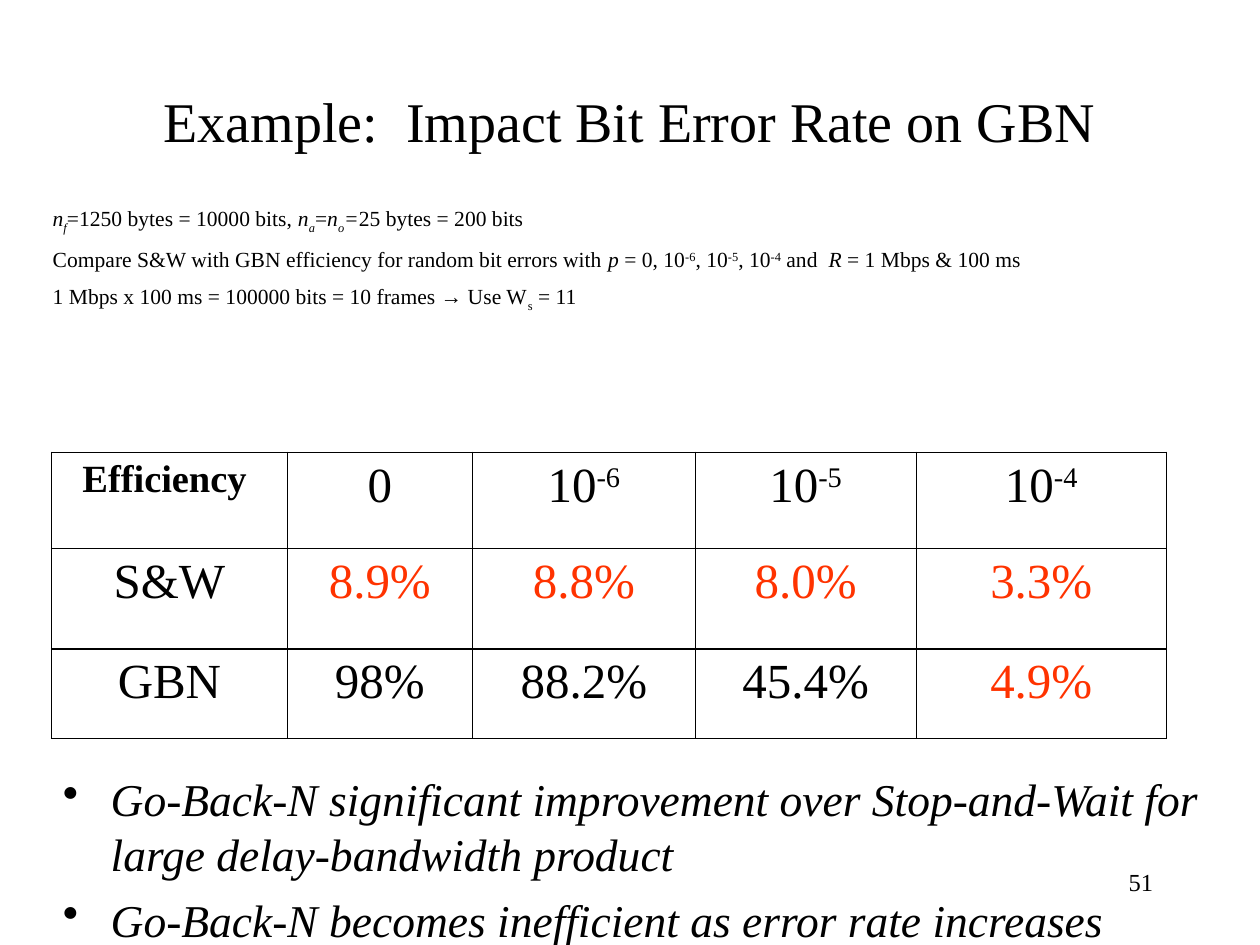
import pptx
import pptx.dml.color
import pptx.enum.text
import pptx.oxml
import pptx.oxml.ns
import pptx.util

PX = 9144  # EMU per px, 100 px to the inch
FONT = "Times New Roman"
COLOURS = {"ink": "000000", "alert": "FF3300", "paper": "FFFFFF"}
ALIGN = pptx.enum.text.PP_ALIGN
THIN, THICK = 0.45, 1.08

# Spans are (text, marks): i is italic, _ subscript, ^ superscript
SETUP = [
    [("n", "i"), ("f", "i_"), ("=1250 bytes = 10000 bits, ", ""), ("n", "i"), ("a", "i_"),
     ("=", ""), ("n", "i"), ("o", "i_"), ("=", "i"), ("25 bytes = 200 bits", "")],
    [("Compare S&W with GBN efficiency for random bit errors with ", ""), ("p ", "i"),
     ("= 0, 10", ""), ("-6", "^"), (", 10", ""), ("-5", "^"), (", 10", ""), ("-4", "^"),
     (" and  ", ""), ("R ", "i"), ("= 1 Mbps & 100 ms", "")],
    [("1 Mbps x 100 ms = 100000 bits = 10 frames → Use W", ""), ("s", "_"), (" = 11", "")],
]
CONCLUSIONS = [
    [("Go-Back-N significant improvement over Stop-and-Wait for large delay-bandwidth product", "i")],
    [("Go-Back-N becomes inefficient as error rate increases", "i")],
]
EFFICIENCY = [
    [[("Efficiency ", "")], [("0", "")]] + [[("10", ""), (power, "^")] for power in ("-6", "-5", "-4")],
    [[(text, "")] for text in ("S&W", "8.9%", "8.8%", "8.0%", "3.3%")],
    [[(text, "")] for text in ("GBN", "98%", "88.2%", "45.4%", "4.9%")],
]
ALERTS = {(1, 1), (1, 2), (1, 3), (1, 4), (2, 4)}


def px(*lengths):
    return [length * PX for length in lengths]


def colour(name):
    return pptx.dml.color.RGBColor.from_string(COLOURS[name])


def write_para(para, spans, size, ink="ink", align=ALIGN.LEFT, bold=False):
    para.alignment = align
    font = para.font
    font.name, font.size, font.bold = FONT, pptx.util.Pt(size), bold
    font.color.rgb = colour(ink)
    for text, marks in spans:
        span = para.add_run()
        span.text = text
        # Runs carry the format too, so that it holds inside placeholders and cells
        span.font.name, span.font.size, span.font.bold = FONT, pptx.util.Pt(size), bold
        span.font.color.rgb = colour(ink)
        span.font.italic = "i" in marks
        if "_" in marks or "^" in marks:
            span._r.get_or_add_rPr().set("baseline", "-25000" if "_" in marks else "30000")


def add_paras(page, place, paras, size, bulleted=False, align=ALIGN.LEFT):
    box = page.shapes.add_textbox(*px(*place))
    frame = box.text_frame
    frame.word_wrap = True
    for index, spans in enumerate(paras):
        para = frame.paragraphs[0] if index == 0 else frame.add_paragraph()
        if index:
            para.space_before = pptx.util.Pt(6.5)
        if bulleted:
            props = para._p.get_or_add_pPr()
            props.set("marL", str(38 * PX))
            props.set("indent", str(-38 * PX))
            namespace = pptx.oxml.ns.nsdecls("a")
            props.append(pptx.oxml.parse_xml(
                f'<a:buClr {namespace}><a:srgbClr val="{COLOURS["ink"]}"/></a:buClr>'))
            props.append(pptx.oxml.parse_xml(f'<a:buChar {namespace} char="•"/>'))
        write_para(para, spans, size, align=align)


def set_title(page, place, text):
    title = page.shapes.title
    title.left, title.top, title.width, title.height = px(*place)
    frame = title.text_frame
    frame.auto_size = pptx.enum.text.MSO_AUTO_SIZE.NONE
    frame.vertical_anchor = pptx.enum.text.MSO_ANCHOR.MIDDLE
    write_para(frame.paragraphs[0], [(text, "")], 32, align=ALIGN.CENTER)


def set_borders(cell, widths):
    props = cell._tc.get_or_add_tcPr()
    for side, width in zip("LRTB", widths):
        props.append(pptx.oxml.parse_xml(
            f'<a:ln{side} {pptx.oxml.ns.nsdecls("a")} w="{int(width * 12700)}"><a:solidFill>'
            f'<a:srgbClr val="{COLOURS["ink"]}"/></a:solidFill></a:ln{side}>'))


def add_efficiency_table(page, left, top, widths, heights):
    rows, columns = len(heights), len(widths)
    place = px(left, top, sum(widths), sum(heights))
    table = page.shapes.add_table(rows, columns, *place).table
    table.first_row = table.horz_banding = False
    for column, width in zip(table.columns, widths):
        column.width = width * PX
    for row, height in zip(table.rows, heights):
        row.height = height * PX

    # Thick frame and thick rule above the last row, thin rules elsewhere
    for r in range(rows):
        for c in range(columns):
            cell = table.cell(r, c)
            set_borders(cell, [THICK if c == 0 else THIN,
                               THICK if c == columns - 1 else THIN,
                               THIN if r == 1 else THICK,
                               THIN if r == 0 else THICK])
            cell.fill.background()
            corner = r == c == 0
            write_para(cell.text_frame.paragraphs[0], EFFICIENCY[r][c], 22 if corner else 28,
                       "alert" if (r, c) in ALERTS else "ink", ALIGN.CENTER, corner)


def main():
    deck = pptx.Presentation()
    deck.slide_width, deck.slide_height = px(1000, 750)
    page = deck.slides.add_slide(deck.slide_layouts[5])
    page.background.fill.solid()
    page.background.fill.fore_color.rgb = colour("paper")

    # Slide number, title and setup
    add_paras(page, (717, 683, 208, 50), [[("51", "")]], 14, align=ALIGN.RIGHT)
    set_title(page, (75, 33, 850, 125), "Example:  Impact Bit Error Rate on GBN")
    add_paras(page, (32, 158, 947, 94), SETUP, 12.3)

    # Results and conclusions
    add_efficiency_table(page, 41, 359, (187, 147, 177, 175, 199), (76, 80, 71))
    add_paras(page, (40, 607, 935, 75), CONCLUSIONS, 26, bulleted=True)
    deck.save("out.pptx")


if __name__ == "__main__":
    main()
